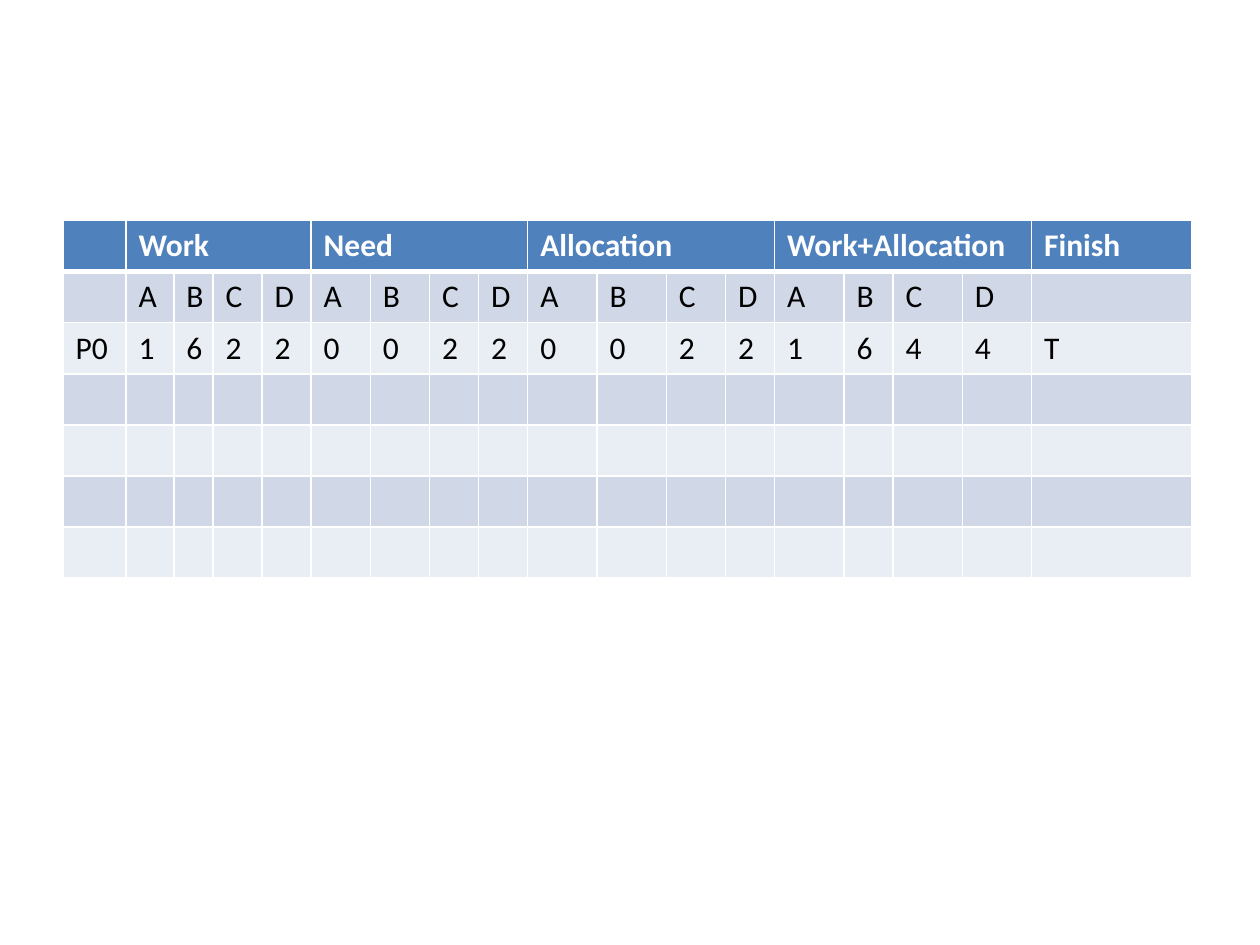
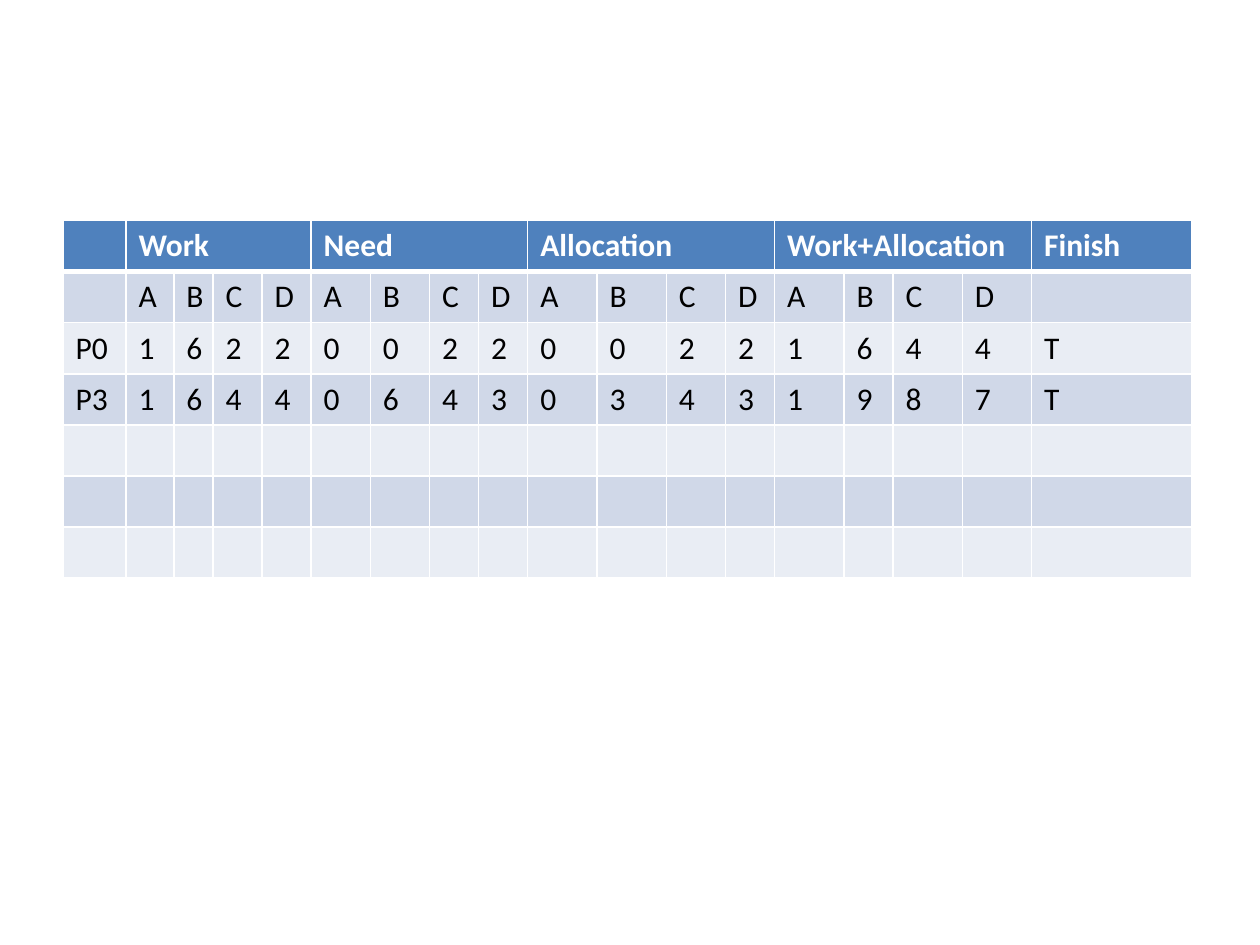
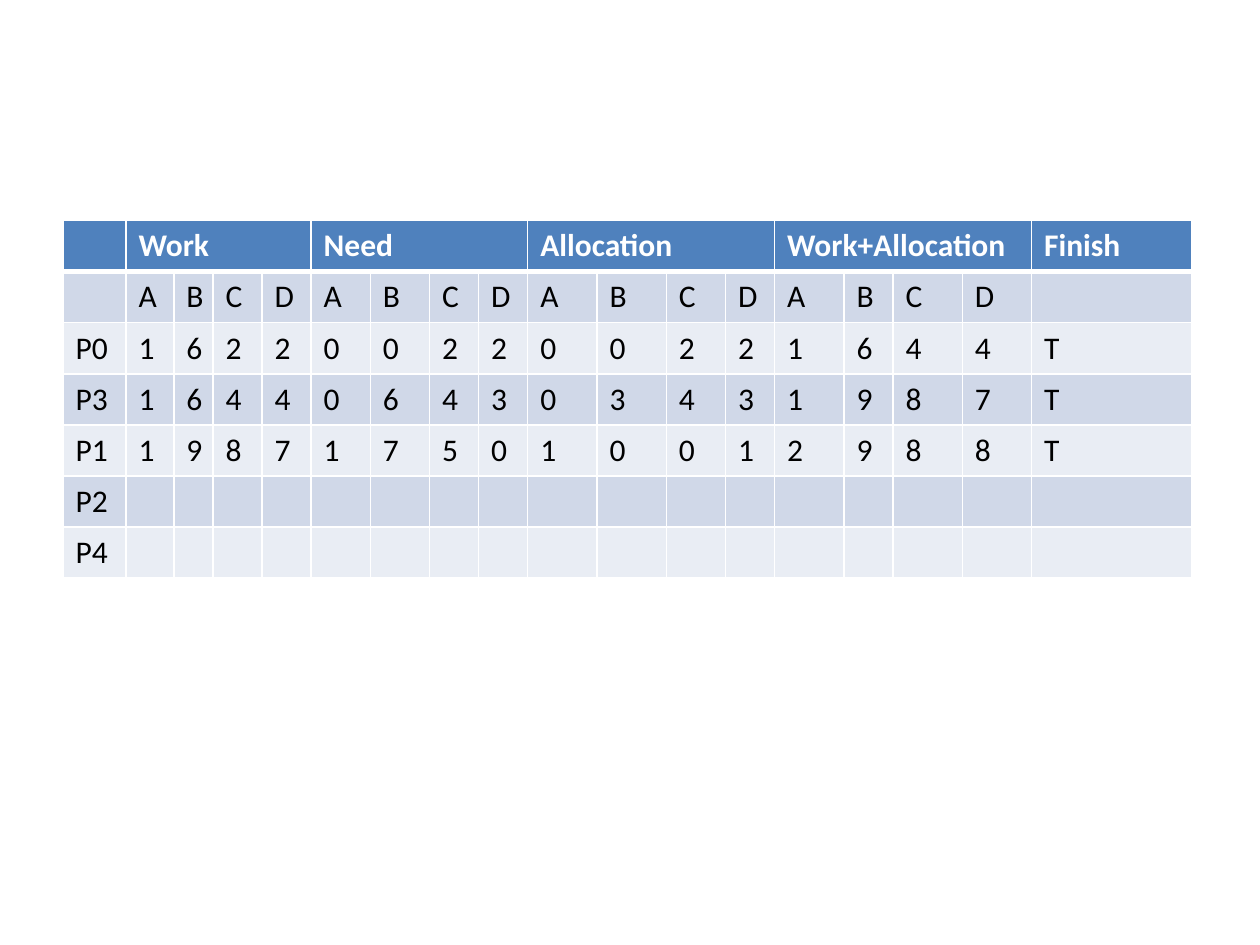
from dataclasses import dataclass

from lxml.etree import SubElement
from pptx import Presentation
from pptx.dml.color import RGBColor as RGB
from pptx.oxml.ns import qn
from pptx.slide import Slide
from pptx.table import _Cell as Cell
from pptx.util import Inches, Pt


@dataclass(frozen=True)
class Theme:
    font: str = "Calibri"
    size: int = 18
    head: str = "4F81BD"
    bands: tuple[str, str] = ("E9EDF4", "D0D8E8")
    light: str = "FFFFFF"
    dark: str = "000000"
    thin: int = 1
    thick: int = 3


@dataclass(frozen=True)
class Step:
    """One process of the safety check; it frees what it holds when it ends."""
    name: str
    work: tuple[int, ...]
    need: tuple[int, ...]
    held: tuple[int, ...]

    def row(self) -> list[str]:
        freed = [w + h for w, h in zip(self.work, self.held)]
        counts = [*self.work, *self.need, *self.held, *freed]
        return [self.name, *map(str, counts), "T"]


THEME = Theme()
GROUPS = ("Work", "Need", "Allocation", "Work+Allocation")
KINDS = ("A", "B", "C", "D")
WIDTHS = (
    0.5,
    0.38, 0.31, 0.39, 0.39,
    0.47, 0.47, 0.39, 0.39,
    0.55, 0.55, 0.47, 0.39,
    0.55, 0.39, 0.55, 0.55,
    1.27,
)
ROWS = 7
STEPS = (
    Step("P0", (1, 6, 2, 2), (0, 0, 2, 2), (0, 0, 2, 2)),
    Step("P3", (1, 6, 4, 4), (0, 6, 4, 3), (0, 3, 4, 3)),
    Step("P1", (1, 9, 8, 7), (1, 7, 5, 0), (1, 0, 0, 1)),
)


def edge(cell: Cell, side: str, width: int) -> None:
    line = SubElement(cell._tc.get_or_add_tcPr(), qn(f"a:ln{side}"), w=str(Pt(width)))
    fill = SubElement(line, qn("a:solidFill"))
    SubElement(fill, qn("a:srgbClr"), val=THEME.light)


def style(cell: Cell, row: int) -> None:
    """Give a cell its borders and fill; the rule below the header is thick."""
    top = THEME.thick if row == 1 else THEME.thin
    base = THEME.thick if row == 0 else THEME.thin
    for side, width in zip("LRTB", (THEME.thin, THEME.thin, top, base)):
        edge(cell, side, width)
    cell.fill.solid()
    color = THEME.head if row == 0 else THEME.bands[row % 2]
    cell.fill.fore_color.rgb = RGB.from_string(color)


def write(cell: Cell, text: str, head: bool) -> None:
    cell.text_frame.text = text
    for run in cell.text_frame.paragraphs[0].runs:
        font = run.font
        font.name, font.size, font.bold = THEME.font, Pt(THEME.size), head
        font.color.rgb = RGB.from_string(THEME.light if head else THEME.dark)


def draw(slide: Slide, steps: tuple[Step, ...], names: tuple[str, ...]) -> None:
    """Draw the table with finished steps, then the names still waiting."""
    table = slide.shapes.add_table(
        ROWS, len(WIDTHS), Inches(0.5), Inches(1.75), Inches(9), Inches(2.84)
    ).table
    for col, width in zip(table.columns, WIDTHS):
        col.width = Inches(width)

    heads = [""]
    for group in GROUPS:
        heads += [group] + [""] * (len(KINDS) - 1)
    lines = [
        heads + ["Finish"],
        ["", *KINDS * len(GROUPS), ""],
        *(step.row() for step in steps),
        *([name] for name in names),
    ]
    for r in range(ROWS):
        for c in range(len(WIDTHS)):
            style(table.cell(r, c), r)
    for r, line in enumerate(lines):
        for c, text in enumerate(line):
            if text:
                write(table.cell(r, c), text, r == 0)
    span = len(KINDS)
    for g in range(len(GROUPS)):
        first = 1 + g * span
        table.cell(0, first).merge(table.cell(0, first + span - 1))


def main() -> None:
    deck = Presentation()
    deck.slide_width, deck.slide_height = Inches(10), Inches(7.5)
    blank = deck.slide_layouts[6]
    for done in range(1, len(STEPS) + 1):
        names = ("P2", "P4") if done == len(STEPS) else ()
        draw(deck.slides.add_slide(blank), STEPS[:done], names)
    deck.save("out.pptx")


if __name__ == "__main__":
    main()
